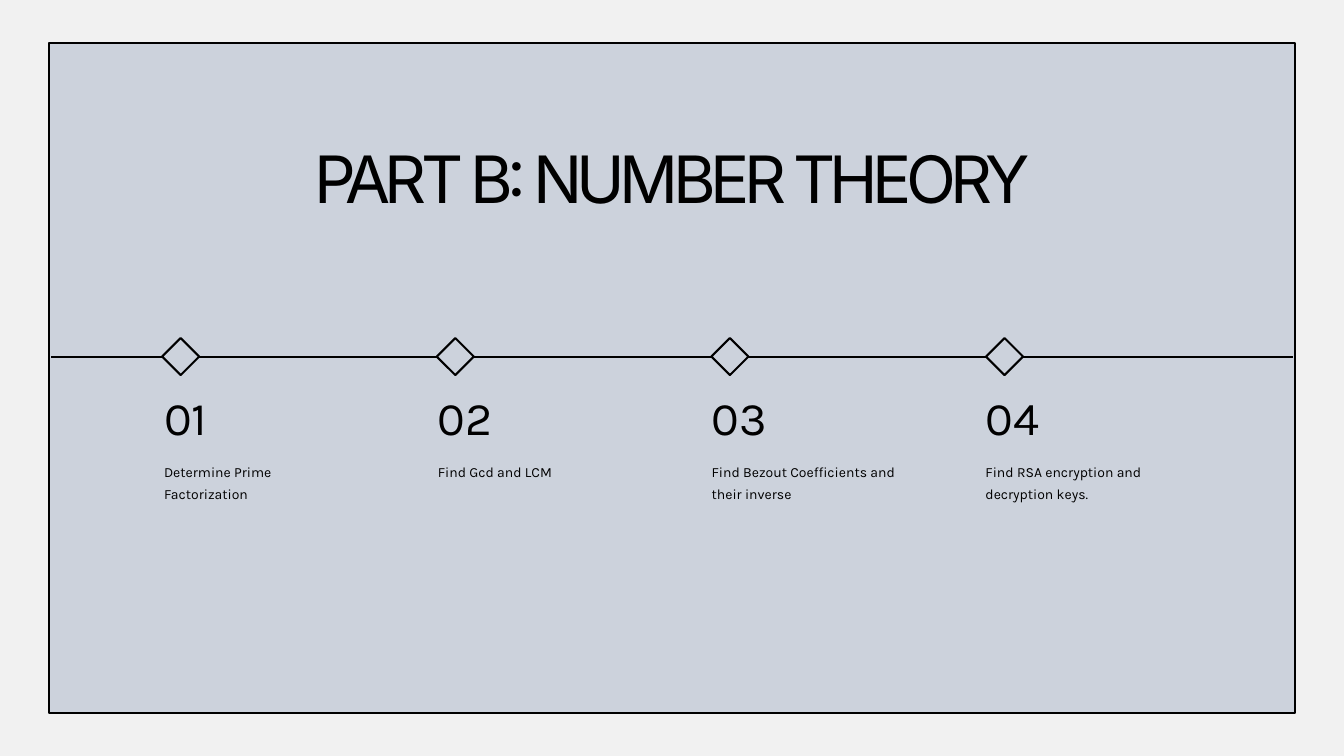
from dataclasses import dataclass

from lxml.etree import SubElement
from pptx import Presentation
from pptx.dml.color import RGBColor
from pptx.enum.shapes import MSO_CONNECTOR as Connector, MSO_SHAPE as Shape
from pptx.enum.text import PP_ALIGN as Align
from pptx.oxml.ns import qn
from pptx.util import Cm, Pt

PAPER = RGBColor(0xF1, 0xF1, 0xF1)
PANEL = RGBColor(0xCC, 0xD2, 0xDC)
INK = RGBColor(0x00, 0x00, 0x00)

LINE_WIDTH = Pt(2.25)
TIMELINE_Y = 13.48
MARKER_SIZE = 1.4
MARKER_LEFT, MARKER_PITCH = 6.13, 10.38
TEXT_LEFT, TEXT_PITCH = 6.2, 10.35


@dataclass
class Step:
    caption: str
    width: float


@dataclass
class Style:
    font: str
    size: float
    leading: float
    align: Align = Align.LEFT
    tracking: int = 0  # hundredths of a point


TITLE = Style("Inter", 70, 75.6, Align.CENTER, -600)
NUMBER = Style("Karla", 50, 51.5)
CAPTION = Style("Karla", 15, 23.4)

STEPS = [
    Step("Determine Prime Factorization", 7.34),
    Step("Find Gcd and LCM", 7.6),
    Step("Find Bezout Coefficients and their inverse", 7.65),
    Step("Find RSA encryption and decryption keys.", 7.34),
]


def add_outlined(page, kind: Shape, left: float, top: float,
                 width: float, height: float) -> None:
    """Add a panel-coloured shape with an ink outline; lengths in cm."""
    shape = page.shapes.add_shape(kind, Cm(left), Cm(top), Cm(width), Cm(height))
    shape.shadow.inherit = False
    shape.fill.solid()
    shape.fill.fore_color.rgb = PANEL
    shape.line.color.rgb = INK
    shape.line.width = LINE_WIDTH


def add_timeline(page, start: float, end: float) -> None:
    line = page.shapes.add_connector(
        Connector.STRAIGHT, Cm(start), Cm(TIMELINE_Y), Cm(end), Cm(TIMELINE_Y))
    line.line.color.rgb = INK
    line.line.width = LINE_WIDTH
    SubElement(line._element.spPr, qn("a:effectLst"))


def add_text(page, text: str, style: Style, left: float, top: float,
             width: float, height: float) -> None:
    box = page.shapes.add_textbox(Cm(left), Cm(top), Cm(width), Cm(height))
    frame = box.text_frame
    frame.word_wrap = True
    frame.margin_left = frame.margin_right = 0
    frame.margin_top = frame.margin_bottom = 0
    para = frame.paragraphs[0]
    span = para.add_run()
    span.text = text
    if style.tracking:
        span._r.get_or_add_rPr().set("spc", str(style.tracking))
    para.alignment = style.align
    para.line_spacing = Pt(style.leading)
    para.font.name = style.font
    para.font.size = Pt(style.size)
    para.font.color.rgb = INK


def add_step(page, index: int, step: Step) -> None:
    add_outlined(page, Shape.DIAMOND, MARKER_LEFT + index * MARKER_PITCH,
                 TIMELINE_Y - MARKER_SIZE / 2, MARKER_SIZE, MARKER_SIZE)
    left = TEXT_LEFT + index * TEXT_PITCH
    add_text(page, f"{index + 1:02}", NUMBER, left, 15.01, 6.1, 1.88)
    add_text(page, step.caption, CAPTION, left, 17.32, step.width, 1.6)


def main() -> None:
    deck = Presentation()
    deck.slide_width, deck.slide_height = Cm(50.8), Cm(28.58)
    page = deck.slides.add_slide(deck.slide_layouts[6])
    page.background.fill.solid()
    page.background.fill.fore_color.rgb = PAPER

    add_outlined(page, Shape.RECTANGLE, 1.85, 1.62, 47.1, 25.34)
    add_text(page, "PART B: NUMBER THEORY", TITLE, 7.91, 5.51, 34.98, 2.74)
    add_timeline(page, 1.93, 48.87)
    for index, step in enumerate(STEPS):
        add_step(page, index, step)

    deck.save("out.pptx")


if __name__ == "__main__":
    main()
